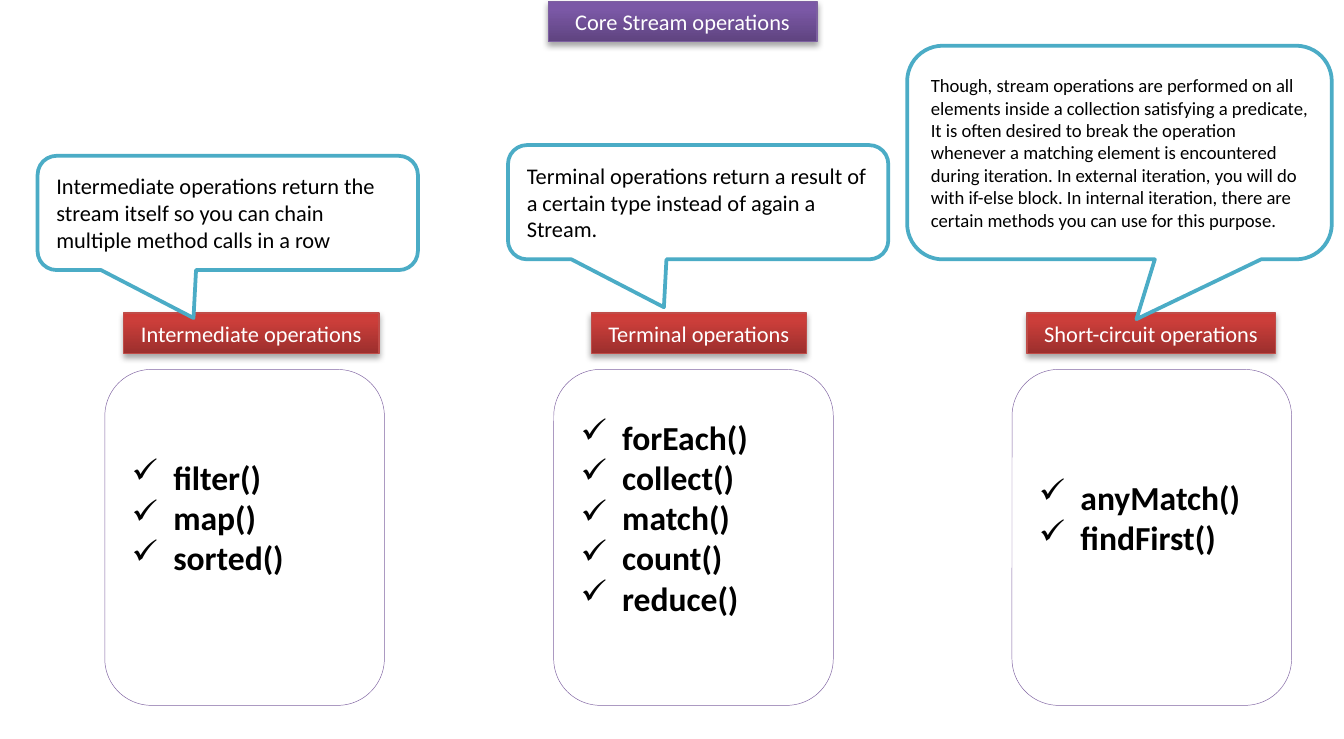
from copy import deepcopy

import pptx
import pptx.dml.color
import pptx.enum.shapes
import pptx.enum.text
import pptx.oxml
import pptx.oxml.ns
import pptx.util

Inches = pptx.util.Inches
Pt = pptx.util.Pt
qn = pptx.oxml.ns.qn
SHAPE = pptx.enum.shapes.MSO_SHAPE
ALIGN = pptx.enum.text.PP_ALIGN
ANCHOR = pptx.enum.text.MSO_ANCHOR
AUTO_SIZE = pptx.enum.text.MSO_AUTO_SIZE

FONT = "Calibri"
WHITE, BLACK = "FFFFFF", "000000"
PURPLE, TEAL = "8064A2", "4BACC6"
PURPLE_GRADIENT = ("5F4480", "7B58A6", "7C57A8")
RED_GRADIENT = ("9C2F2D", "CB3E3A", "CE3B37")
GRADIENT_POSITIONS = (0, 0.8, 1)
SHADOW = (
    '<a:outerShdw xmlns:a="http://schemas.openxmlformats.org/drawingml/2006/main"'
    ' blurRad="40000" dist="23000" dir="5400000" rotWithShape="0">'
    '<a:srgbClr val="000000"><a:alpha val="35000"/></a:srgbClr></a:outerShdw>'
)

# Label: left, top, width, text
LABELS = [
    (0.92, 2.33, 1.9, "Intermediate operations"),
    (4.4, 2.33, 1.6, "Terminal operations"),
    (7.64, 2.33, 1.85, "Short-circuit operations"),
]

# Method panel: left, methods
PANELS = [
    (0.78, ["filter()", "map()", "sorted()"]),
    (4.12, ["forEach()", "collect()", "match()", "count()", "reduce()"]),
    (7.53, ["anyMatch()", "findFirst()"]),
]

# Callout: box, pointer tip, text size, text
CALLOUTS = [
    ((0.28, 1.16, 2.83, 0.85), (-0.09, 0.92), 12,
     "Intermediate operations return the stream itself so you can chain "
     "multiple method calls in a row"),
    ((3.78, 1.08, 2.83, 0.85), (-0.09, 0.92), 12,
     "Terminal operations return a result of a certain type instead of "
     "again a Stream."),
    ((6.75, 0.34, 3.16, 1.59), (0.04, 0.78), 10,
     "Though, stream operations are performed on all elements inside a "
     "collection satisfying a predicate, It is often desired to break the "
     "operation whenever a matching element is encountered during iteration. "
     "In external iteration, you will do with if-else block. In internal "
     "iteration, there are certain methods you can use for this purpose."),
]


def rgb(value):
    return pptx.dml.color.RGBColor.from_string(value)


def style_paragraph(paragraph, size, color, bold=False, align=ALIGN.LEFT):
    paragraph.alignment = align
    for run in paragraph.runs:
        run.font.name = FONT
        run.font.size = Pt(size)
        run.font.bold = bold
        run.font.color.rgb = rgb(color)


def add_box(slide, kind, box, line_color, line_width):
    shape = slide.shapes.add_shape(kind, *map(Inches, box))
    shape.shadow.inherit = False
    shape.fill.solid()
    shape.fill.fore_color.rgb = rgb(WHITE)
    shape.line.color.rgb = rgb(line_color)
    shape.line.width = Pt(line_width)
    shape.text_frame.word_wrap = True
    shape.text_frame.vertical_anchor = ANCHOR.MIDDLE
    return shape


def add_label(slide, left, top, width, text, gradient, line_color, wrap=False):
    label = add_box(slide, SHAPE.RECTANGLE, (left, top, width, 0.3), line_color, 0.75)

    # Three-stop gradient, darkest at the bottom
    label.fill.gradient()
    label.fill.gradient_angle = 90
    properties = label._element.spPr
    stop_list = properties.find(qn("a:gradFill")).find(qn("a:gsLst"))
    stop_list.append(deepcopy(stop_list[0]))
    for stop, position, color in zip(label.fill.gradient_stops, GRADIENT_POSITIONS, gradient):
        stop.position = position
        stop.color.rgb = rgb(color)
    properties.find(qn("a:effectLst")).append(pptx.oxml.parse_xml(SHADOW))

    frame = label.text_frame
    frame.text = text
    frame.word_wrap = wrap
    frame.auto_size = AUTO_SIZE.SHAPE_TO_FIT_TEXT
    style_paragraph(frame.paragraphs[0], 12, WHITE, align=ALIGN.CENTER)


def add_panel(slide, left, methods):
    panel = add_box(slide, SHAPE.ROUNDED_RECTANGLE, (left, 2.75, 2.08, 2.5), PURPLE, 0.25)
    frame = panel.text_frame
    frame.margin_bottom = Inches(0.35)  # lifts the list above the middle
    frame.text = "\n".join(methods)
    for paragraph in frame.paragraphs:
        properties = paragraph._p.get_or_add_pPr()
        properties.set("marL", str(Inches(0.31)))
        properties.set("indent", str(-Inches(0.31)))
        bullet = properties.makeelement(qn("a:buChar"), {"char": "✓"})
        properties.append(bullet)
        style_paragraph(paragraph, 18, BLACK, bold=True)


def add_callout(slide, box, tip, size, text):
    callout = add_box(slide, SHAPE.ROUNDED_RECTANGULAR_CALLOUT, box, TEAL, 2)
    callout.adjustments[0], callout.adjustments[1] = tip
    callout.text_frame.text = text
    style_paragraph(callout.text_frame.paragraphs[0], size, BLACK)


def main():
    deck = pptx.Presentation()
    deck.slide_width, deck.slide_height = Inches(10), Inches(5.5)
    slide = deck.slides.add_slide(deck.slide_layouts[6])

    # Title
    add_label(slide, 4.08, 0.01, 2, "Core Stream operations",
              PURPLE_GRADIENT, "7D60A0", wrap=True)

    # Method lists under their labels
    for panel in PANELS:
        add_panel(slide, *panel)
    for label in LABELS:
        add_label(slide, *label, RED_GRADIENT, "BF4C48")

    # Explanations pointing at the labels
    for callout in CALLOUTS:
        add_callout(slide, *callout)

    deck.save("out.pptx")


if __name__ == "__main__":
    main()
